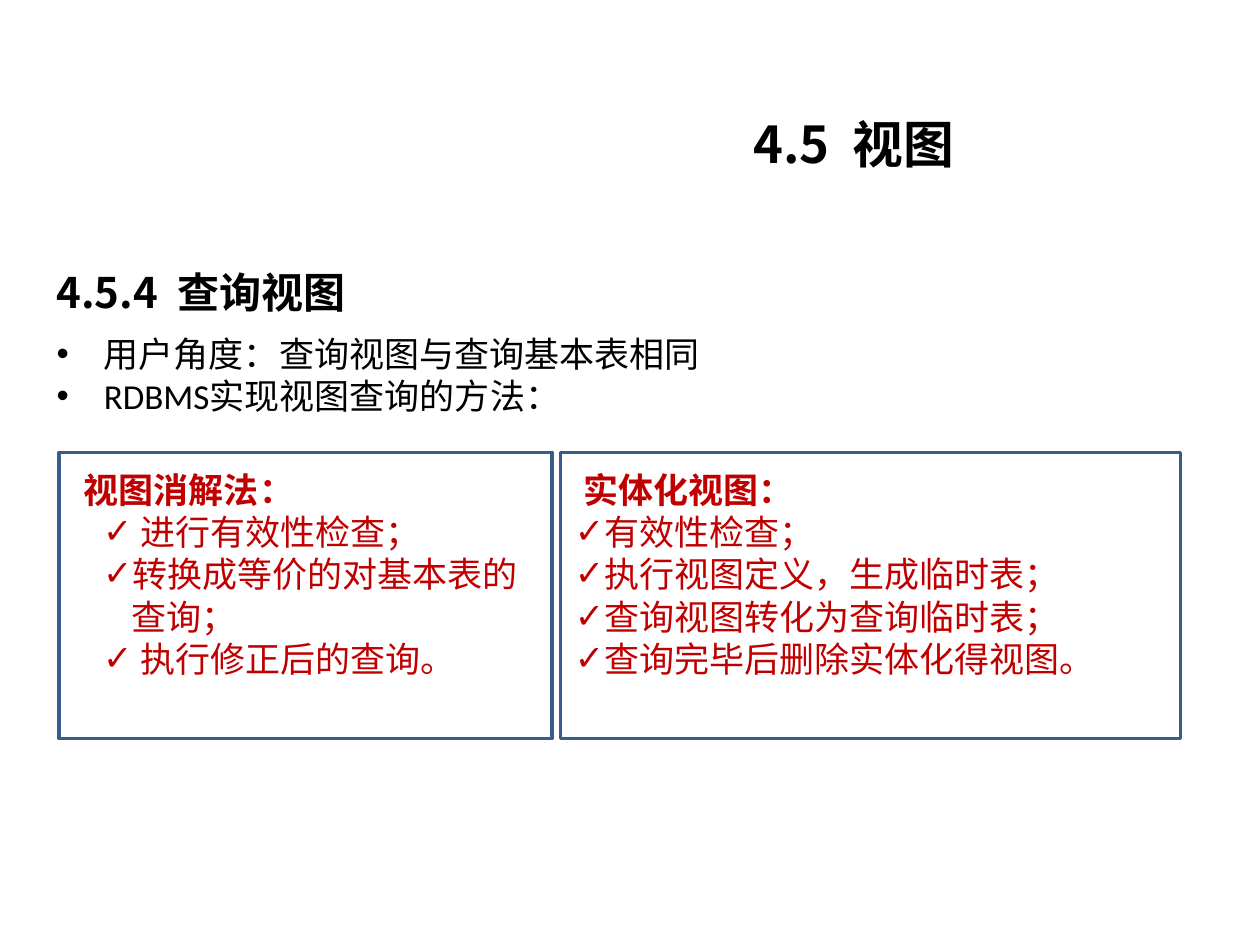
from lxml import etree
from pptx import Presentation
from pptx.dml.color import RGBColor
from pptx.enum.shapes import MSO_SHAPE
from pptx.enum.text import MSO_ANCHOR, MSO_AUTO_SIZE, PP_ALIGN
from pptx.oxml.ns import qn
from pptx.util import Pt

PROCESS = MSO_SHAPE.FLOWCHART_PROCESS
MIDDLE = MSO_ANCHOR.MIDDLE
CENTER, LEFT = PP_ALIGN.CENTER, PP_ALIGN.LEFT
NO_AUTOFIT = MSO_AUTO_SIZE.NONE
TITLE_ONLY = 5

BLACK, RED, BLUE = "000000", "C00000", "385D8A"
HEAD_FONT, TEXT_FONT = "Noto Sans CJK SC", "Calibri"
TEXT_SIZE = 20
BOX_TOP, BOX_HEIGHT = 258.5, 163.5

POINTS = ["用户角度：查询视图与查询基本表相同", "RDBMS实现视图查询的方法："]
RESOLUTION = [" 进行有效性检查；", "转换成等价的对基本表的查询；", " 执行修正后的查询。"]
MATERIALIZED = ["有效性检查；", "执行视图定义，生成临时表；", "查询视图转化为查询临时表；",
                "查询完毕后删除实体化得视图。"]


def color(value):
    return RGBColor.from_string(value)


def place(shape, left, top, width, height):
    shape.left, shape.top = Pt(left), Pt(top)
    shape.width, shape.height = Pt(width), Pt(height)


def write(para, text, size, font, ink, bold=False, align=LEFT):
    para.text = text
    para.alignment = align
    para.font.size = Pt(size)
    para.font.name = font
    para.font.bold = bold
    para.font.color.rgb = color(ink)


def set_indent(para, margin, hanging=0, bullet=None):
    props = para._p.get_or_add_pPr()
    props.set("marL", str(Pt(margin)))
    props.set("indent", str(-Pt(hanging)))
    if bullet:
        etree.SubElement(props, qn("a:buFont")).set("typeface", "Arial")
        etree.SubElement(props, qn("a:buChar")).set("char", bullet)


def add_bullets(frame, texts, ink, margin, hanging, bullet):
    for text in texts:
        para = frame.add_paragraph()
        set_indent(para, margin, hanging, bullet)
        write(para, text, TEXT_SIZE, TEXT_FONT, ink)


def set_title(page, text):
    title = page.shapes.title
    place(title, 297.5, 59, 381, 45.5)
    frame = title.text_frame
    frame.word_wrap = False
    frame.auto_size = NO_AUTOFIT
    frame.vertical_anchor = MIDDLE
    write(frame.paragraphs[0], text, 29, HEAD_FONT, BLACK, True, CENTER)


def add_section(page, heading, points):
    box = page.shapes.add_textbox(Pt(25.2), Pt(134), Pt(663), Pt(306))
    frame = box.text_frame
    frame.word_wrap = True
    frame.margin_top = Pt(9.6)
    para = frame.paragraphs[0]
    write(para, heading, 24, HEAD_FONT, BLACK, True)
    para.line_spacing = 1.3
    para.space_after = Pt(9)
    add_bullets(frame, points, BLACK, 27, 27, "•")


def add_method(page, left, width, heading, heading_indent, steps, margin, hanging):
    box = page.shapes.add_shape(PROCESS, Pt(left), Pt(BOX_TOP), Pt(width), Pt(BOX_HEIGHT))
    box.shadow.inherit = False
    box.fill.background()
    box.line.color.rgb = color(BLUE)
    box.line.width = Pt(2)
    frame = box.text_frame
    frame.word_wrap = True
    frame.vertical_anchor = MIDDLE
    frame.margin_bottom = Pt(28)  # keeps one line free under the steps
    para = frame.paragraphs[0]
    set_indent(para, heading_indent)
    write(para, heading, TEXT_SIZE, TEXT_FONT, RED, True)
    add_bullets(frame, steps, RED, margin, hanging, "✓")


def main():
    deck = Presentation()
    deck.slide_width, deck.slide_height = Pt(720), Pt(540)
    page = deck.slides.add_slide(deck.slide_layouts[TITLE_ONLY])

    # Title and section text
    set_title(page, "4.5  视图")
    add_section(page, "4.5.4  查询视图", POINTS)

    # The two methods side by side
    add_method(page, 33.8, 281.5, "视图消解法：", 7, RESOLUTION, 34.5, 16.5)
    add_method(page, 320.4, 354.2, "实体化视图：", 6, MATERIALIZED, 16, 15)

    deck.save("out.pptx")


if __name__ == "__main__":
    main()
